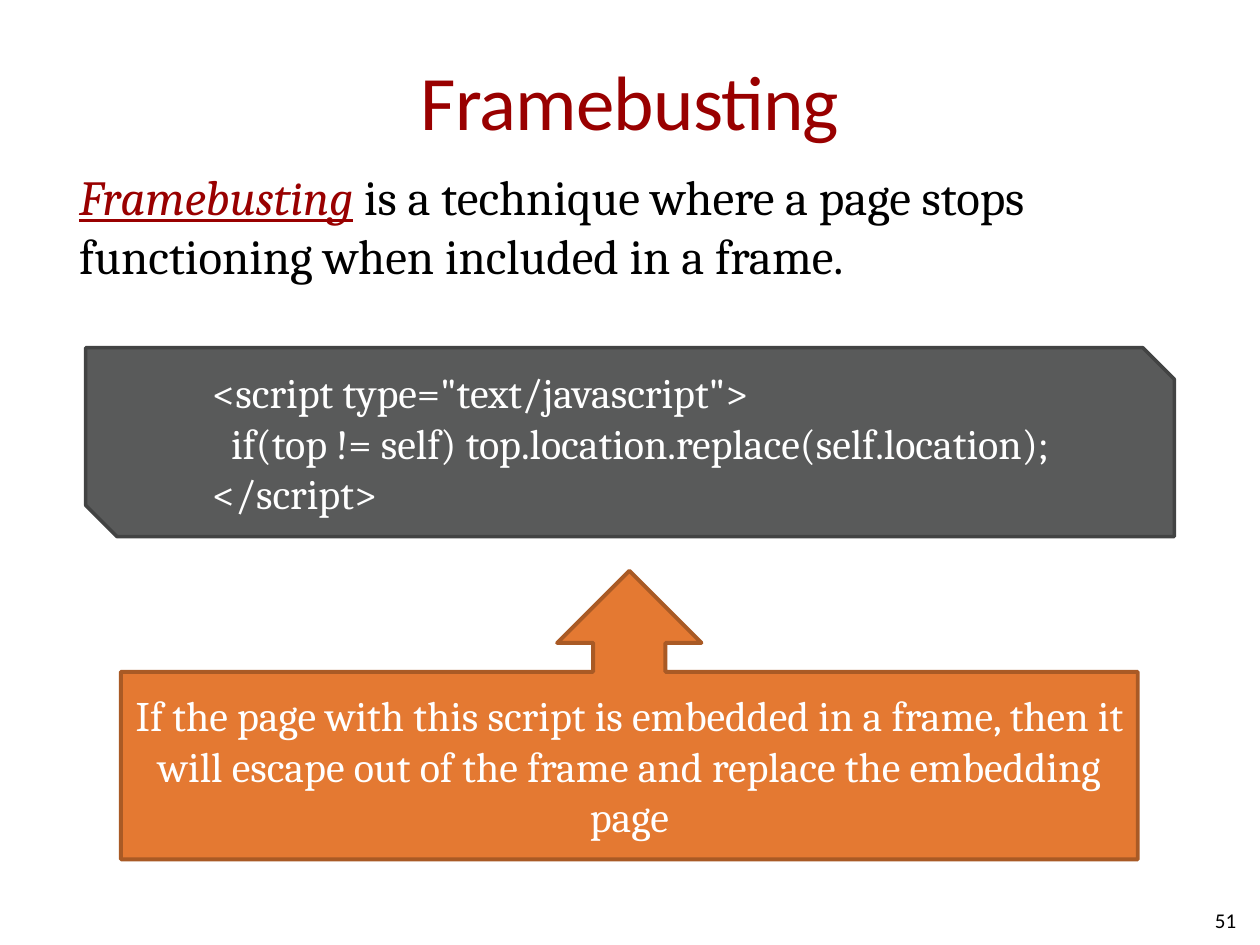
"""Build the Framebusting slide with its code box and callout."""
import pptx
import pptx.util
import pptx.dml.color
import pptx.enum.shapes
import pptx.enum.text

Inches = pptx.util.Inches
Pt = pptx.util.Pt
SHAPE = pptx.enum.shapes.MSO_SHAPE
ALIGN = pptx.enum.text.PP_ALIGN
ANCHOR = pptx.enum.text.MSO_ANCHOR

COLORS = {
    "accent": "990000", "text": "000000", "light": "FFFFFF",
    "code": "595A5A", "code_line": "424343",
    "callout": "E47932", "callout_line": "A95A25",
}


def rgb(name):
    return pptx.dml.color.RGBColor.from_string(COLORS[name])


def add_run(p, text, size=24, font="Cambria", color="light",
            italic=False, underline=False, spacing=None):
    r = p.add_run()
    r.text = text
    r.font.size = Pt(size)
    r.font.name = font
    r.font.color.rgb = rgb(color)
    r.font.italic = italic
    r.font.underline = underline
    if spacing is not None:
        r.font._element.set("spc", str(int(spacing * 100)))
    return r


def set_frame(sp, align, anchor=ANCHOR.MIDDLE):
    tf = sp.text_frame
    tf.word_wrap = True
    tf.vertical_anchor = anchor
    tf.paragraphs[0].alignment = align
    return tf


def add_text_box(s, x, y, w, h, align=ALIGN.LEFT, anchor=ANCHOR.TOP):
    sp = s.shapes.add_textbox(Inches(x), Inches(y), Inches(w), Inches(h))
    return set_frame(sp, align, anchor)


def add_box(s, kind, x, y, w, h, color, line_width, align):
    sp = s.shapes.add_shape(kind, Inches(x), Inches(y), Inches(w), Inches(h))
    sp.shadow.inherit = False
    sp.fill.solid()
    sp.fill.fore_color.rgb = rgb(color)
    sp.line.color.rgb = rgb(color + "_line")
    sp.line.width = Pt(line_width)
    return set_frame(sp, align)


def add_title(s, text):
    sp = s.shapes.title
    sp.left, sp.top, sp.width, sp.height = map(Inches, (0.5, 0.17, 9, 1.25))
    tf = set_frame(sp, ALIGN.CENTER)
    tf.margin_left = tf.margin_right = 0
    add_run(tf.paragraphs[0], text, size=44, font="Calibri",
            color="accent", spacing=-0.5)


def add_code(s, lines):
    tf = add_box(s, SHAPE.SNIP_2_DIAG_RECTANGLE, 0.68, 2.76, 8.64, 1.5,
                 "code", 2, ALIGN.LEFT)
    tf.margin_left = Inches(0.88)
    for i, (indent, text) in enumerate(lines):
        p = tf.add_paragraph() if i else tf.paragraphs[0]
        p.alignment = ALIGN.LEFT
        p._p.get_or_add_pPr().set("marL", str(Inches(indent)))
        add_run(p, text)


def main():
    prs = pptx.Presentation()
    prs.slide_width, prs.slide_height = Inches(10), Inches(7.5)
    s = prs.slides.add_slide(prs.slide_layouts[5])
    add_title(s, "Framebusting")

    tf = add_text_box(s, 7.58, 7.1, 2.33, 0.4, ALIGN.RIGHT, ANCHOR.MIDDLE)
    add_run(tf.paragraphs[0], "51", size=12, font="Calibri", color="text")

    p = add_text_box(s, 0.53, 1.27, 8.97, 1.04).paragraphs[0]
    add_run(p, "Framebusting", size=28, color="accent",
            italic=True, underline=True)
    add_run(p, " is a technique where a page stops functioning when "
            "included in a frame.", size=28, color="text")

    add_code(s, [
        (0, '<script type="text/javascript">'),
        (0.15, "if(top != self) top.location.replace(self.location);"),
        (0, "</script>"),
    ])

    tf = add_box(s, SHAPE.UP_ARROW_CALLOUT, 0.96, 4.53, 8.07, 2.29,
                 "callout", 2.25, ALIGN.CENTER)
    add_run(tf.paragraphs[0], "If the page with this script is embedded in a "
            "frame, then it will escape out of the frame and replace the "
            "embedding page")
    prs.save("out.pptx")


if __name__ == "__main__":
    main()
